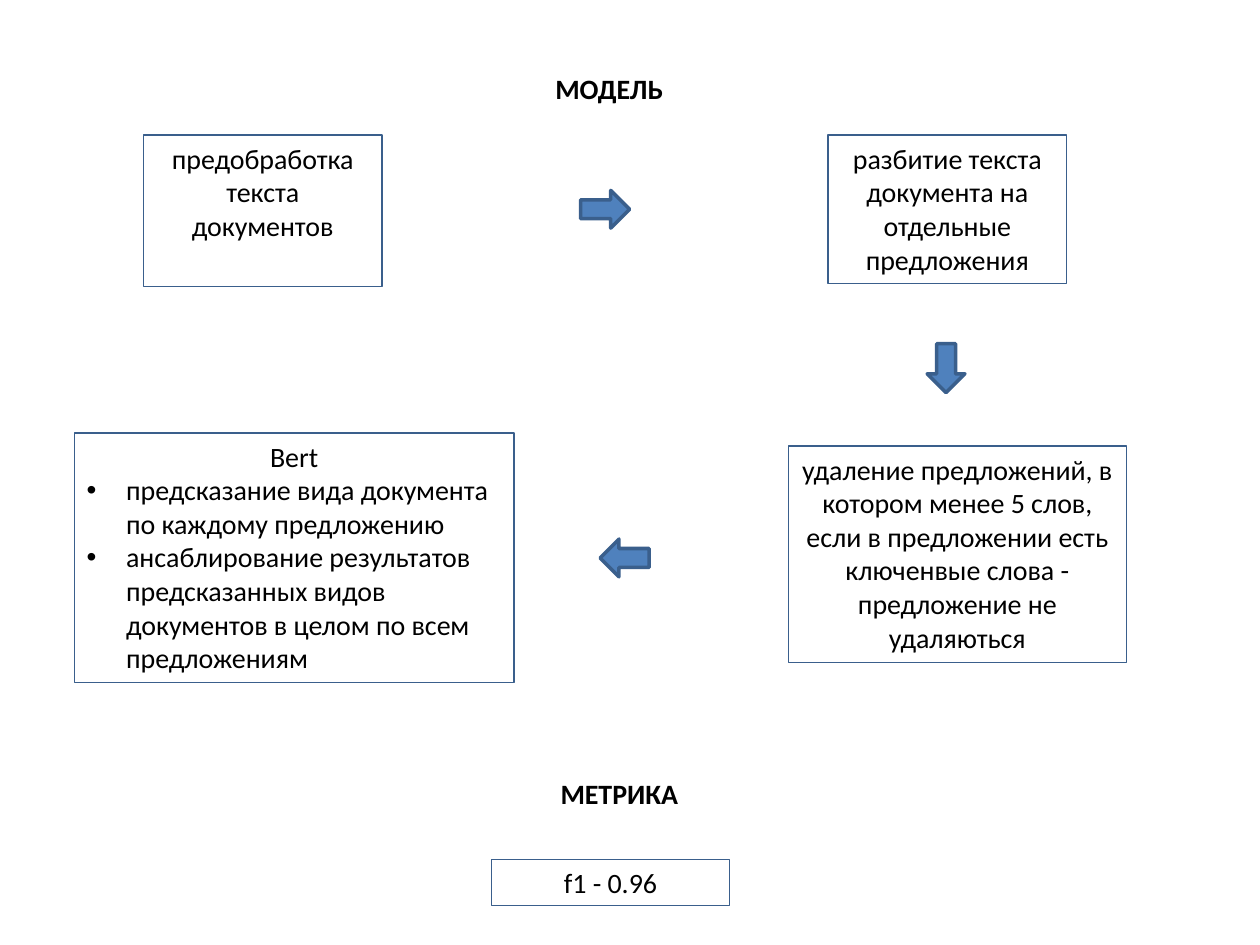
"""Builds a slide that shows the document model as a flow of steps and its metric."""
from dataclasses import dataclass

from lxml.etree import SubElement
from pptx import Presentation
from pptx.dml.color import RGBColor
from pptx.enum.shapes import MSO_SHAPE
from pptx.enum.text import MSO_ANCHOR, MSO_AUTO_SIZE, PP_ALIGN
from pptx.oxml.ns import qn
from pptx.shapes.autoshape import Shape
from pptx.slide import Slide
from pptx.text.text import _Paragraph
from pptx.util import Length, Pt


@dataclass(frozen=True)
class Theme:
    font: str = "Calibri"
    text_size: Length = Pt(16)
    text: RGBColor = RGBColor(0, 0, 0)
    outline: RGBColor = RGBColor(0x3A, 0x5F, 0x8C)
    arrow: RGBColor = RGBColor(0x4F, 0x81, 0xBD)
    box_line: Length = Pt(0.75)
    arrow_line: Length = Pt(2)
    bullet_indent: Length = Pt(22.5)


@dataclass(frozen=True)
class Frame:
    left: float
    top: float
    width: float
    height: float

    def lengths(self) -> tuple[Length, ...]:
        return tuple(Pt(value) for value in (self.left, self.top, self.width, self.height))


@dataclass(frozen=True)
class Heading:
    frame: Frame
    text: str


@dataclass(frozen=True)
class Step:
    frame: Frame
    text: str
    bullets: tuple[str, ...] = ()
    grows: bool = True


@dataclass(frozen=True)
class Arrow:
    left: float
    top: float
    rotation: float = 0


THEME = Theme()
ARROW_WIDTH, ARROW_HEIGHT = 28, 21.6

HEADINGS = (
    Heading(Frame(184.3, 37.5, 327.6, 26.6), "МОДЕЛЬ"),
    Heading(Frame(229.7, 440, 248.4, 26.6), "МЕТРИКА"),
)
STEPS = (
    Step(Frame(82, 77.2, 136.4, 86.4), "предобработка текста документов", grows=False),
    Step(Frame(473.2, 77.2, 136.4, 85), "разбитие текста документа на отдельные предложения"),
    Step(
        Frame(450.5, 254.8, 193.2, 123.8),
        "удаление предложений, в котором менее 5 слов, если в предложении есть "
        "ключенвые слова - предложение не удаляються",
    ),
    Step(
        Frame(42.5, 247.4, 251.2, 142.6),
        "Bert",
        (
            "предсказание вида документа по каждому предложению",
            "ансаблирование результатов предсказанных видов документов в целом "
            "по всем предложениям",
        ),
    ),
    Step(Frame(280.7, 491, 136.4, 26.6), "f1 - 0.96"),
)
ARROWS = (Arrow(331.8, 108.8), Arrow(526.6, 199.6, 90), Arrow(342.9, 308, 180))


def write(paragraph: _Paragraph, text: str, alignment: PP_ALIGN, bold: bool = False) -> None:
    paragraph.text = text
    paragraph.alignment = alignment
    font = paragraph.font
    font.name, font.size, font.bold = THEME.font, THEME.text_size, bold
    font.color.rgb = THEME.text


def add_bullet(paragraph: _Paragraph) -> None:
    properties = paragraph._p.get_or_add_pPr()
    properties.set("marL", str(THEME.bullet_indent))
    properties.set("indent", str(-THEME.bullet_indent))
    bullet_font = SubElement(properties, qn("a:buFont"), typeface="Arial")
    bullet = SubElement(properties, qn("a:buChar"), char="•")
    properties.insert(0, bullet_font)
    properties.insert(1, bullet)


def set_outline(shape: Shape, width: Length) -> None:
    shape.shadow.inherit = False
    shape.line.color.rgb = THEME.outline
    shape.line.width = width


def draw_heading(slide: Slide, heading: Heading) -> None:
    text_frame = slide.shapes.add_textbox(*heading.frame.lengths()).text_frame
    text_frame.word_wrap = True
    text_frame.auto_size = MSO_AUTO_SIZE.SHAPE_TO_FIT_TEXT
    write(text_frame.paragraphs[0], heading.text, PP_ALIGN.CENTER, bold=True)


def draw_step(slide: Slide, step: Step) -> None:
    shape = slide.shapes.add_shape(MSO_SHAPE.RECTANGLE, *step.frame.lengths())
    shape.fill.background()
    set_outline(shape, THEME.box_line)
    text_frame = shape.text_frame
    text_frame.word_wrap = True
    text_frame.vertical_anchor = MSO_ANCHOR.TOP
    text_frame.auto_size = MSO_AUTO_SIZE.SHAPE_TO_FIT_TEXT if step.grows else MSO_AUTO_SIZE.NONE
    write(text_frame.paragraphs[0], step.text, PP_ALIGN.CENTER)
    for bullet in step.bullets:
        paragraph = text_frame.add_paragraph()
        write(paragraph, bullet, PP_ALIGN.LEFT)
        add_bullet(paragraph)


def draw_arrow(slide: Slide, arrow: Arrow) -> None:
    frame = Frame(arrow.left, arrow.top, ARROW_WIDTH, ARROW_HEIGHT)
    shape = slide.shapes.add_shape(MSO_SHAPE.RIGHT_ARROW, *frame.lengths())
    shape.rotation = arrow.rotation
    shape.fill.solid()
    shape.fill.fore_color.rgb = THEME.arrow
    set_outline(shape, THEME.arrow_line)


def main() -> None:
    presentation = Presentation()
    presentation.slide_width, presentation.slide_height = Pt(720), Pt(540)
    slide = presentation.slides.add_slide(presentation.slide_layouts[6])
    for heading in HEADINGS:
        draw_heading(slide, heading)
    for step in STEPS:
        draw_step(slide, step)
    for arrow in ARROWS:
        draw_arrow(slide, arrow)
    presentation.save("out.pptx")


if __name__ == "__main__":
    main()
